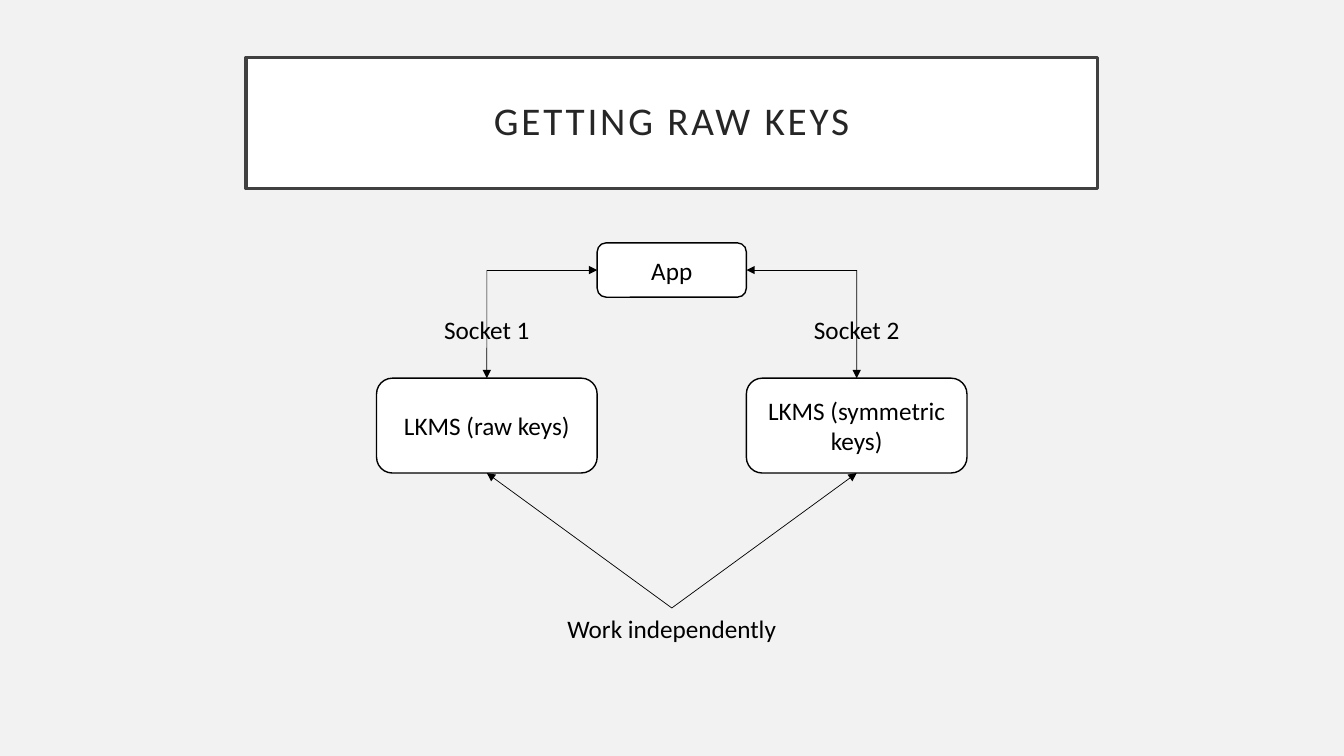
from dataclasses import dataclass

from lxml.etree import SubElement
from pptx import Presentation
from pptx.dml.color import RGBColor
from pptx.enum.shapes import MSO_CONNECTOR, MSO_SHAPE
from pptx.enum.text import MSO_ANCHOR, MSO_AUTO_SIZE, PP_ALIGN
from pptx.oxml.ns import qn
from pptx.util import Cm, Pt


@dataclass(frozen=True)
class Theme:
    font: str = "Calibri"
    title_size: int = 28
    body_size: int = 18
    background: RGBColor = RGBColor(0xF2, 0xF2, 0xF2)
    box_fill: RGBColor = RGBColor(0xFF, 0xFF, 0xFF)
    ink: RGBColor = RGBColor(0x00, 0x00, 0x00)
    title_ink: RGBColor = RGBColor(0x26, 0x26, 0x26)
    title_line: RGBColor = RGBColor(0x40, 0x40, 0x40)


theme = Theme()
TOP, LEFT, BOTTOM, RIGHT = range(4)  # connection sites

prs = Presentation()
prs.slide_width, prs.slide_height = Cm(33.87), Cm(19.05)
s = prs.slides.add_slide(prs.slide_layouts[6])
s.background.fill.solid()
s.background.fill.fore_color.rgb = theme.background


def add_centred(text, x_mid, y, w, h, preset=None, line=theme.ink, line_width=1,
                size=theme.body_size, ink=theme.ink):
    """Add a box of the given preset, or a plain label, centred on x_mid."""
    frame = Cm(x_mid - w / 2), Cm(y), Cm(w), Cm(h)
    if preset is None:
        sp = s.shapes.add_textbox(*frame)
        sp.text_frame.auto_size = MSO_AUTO_SIZE.SHAPE_TO_FIT_TEXT
    else:
        sp = s.shapes.add_shape(preset, *frame)
        sp.shadow.inherit = False
        sp.fill.solid()
        sp.fill.fore_color.rgb = theme.box_fill
        sp.line.color.rgb = line
        sp.line.width = Pt(line_width)
        sp.text_frame.vertical_anchor = MSO_ANCHOR.MIDDLE
    sp.text_frame.word_wrap = True
    p = sp.text_frame.paragraphs[0]
    p.alignment = PP_ALIGN.CENTER
    r = p.add_run()
    r.text = text
    r.font.name, r.font.size, r.font.color.rgb = theme.font, Pt(size), ink
    return sp


def add_arrow(x1, y1, x2, y2, target, site, source=None):
    """Draw an arrow ending at a site of target, from the top of source if given."""
    c = s.shapes.add_connector(MSO_CONNECTOR.STRAIGHT, Cm(x1), Cm(y1), Cm(x2), Cm(y2))
    if source is not None:
        c.begin_connect(source, TOP)
    c.end_connect(target, site)
    c.line.color.rgb = theme.ink
    c.line.width = Pt(0.5)
    SubElement(c.line._get_or_add_ln(), qn("a:tailEnd"), type="triangle")
    SubElement(c._element.spPr, qn("a:effectLst"))


centre = 16.93
branch_offset = 4.66
app_y, app_w, app_h = 6.12, 3.76, 1.37
app_mid = app_y + app_h / 2
lkms_y, lkms_w, lkms_h = 9.53, 5.56, 2.39
note_y = 15.32

title = add_centred("GETTING RAW KEYS", centre, 1.45, 21.46, 3.3, MSO_SHAPE.RECTANGLE,
                    theme.title_line, 2.5, theme.title_size, theme.title_ink)
tf = title.text_frame
tf.margin_left = tf.margin_right = tf.margin_top = tf.margin_bottom = Cm(0.5)
tf.paragraphs[0].line_spacing = 0.9
tf.paragraphs[0].runs[0].font._element.set("spc", "200")

app = add_centred("App", centre, app_y, app_w, app_h, MSO_SHAPE.ROUNDED_RECTANGLE)
note = add_centred("Work independently", centre, note_y, 7.6, 1.02)

branches = [
    (-1, "LKMS (raw keys)", "Socket 1", LEFT),
    (1, "LKMS (symmetric keys)", "Socket 2", RIGHT),
]
for side, name, socket, app_site in branches:
    x = centre + side * branch_offset
    lkms = add_centred(name, x, lkms_y, lkms_w, lkms_h, MSO_SHAPE.ROUNDED_RECTANGLE)
    add_arrow(x, app_mid, centre + side * app_w / 2, app_mid, app, app_site)
    add_arrow(x, app_mid, x, lkms_y, lkms, TOP)
    add_centred(socket, x, 7.8, 3.25, 1.02)
    add_arrow(centre, note_y, x, lkms_y + lkms_h, lkms, BOTTOM, note)

prs.save("out.pptx")
